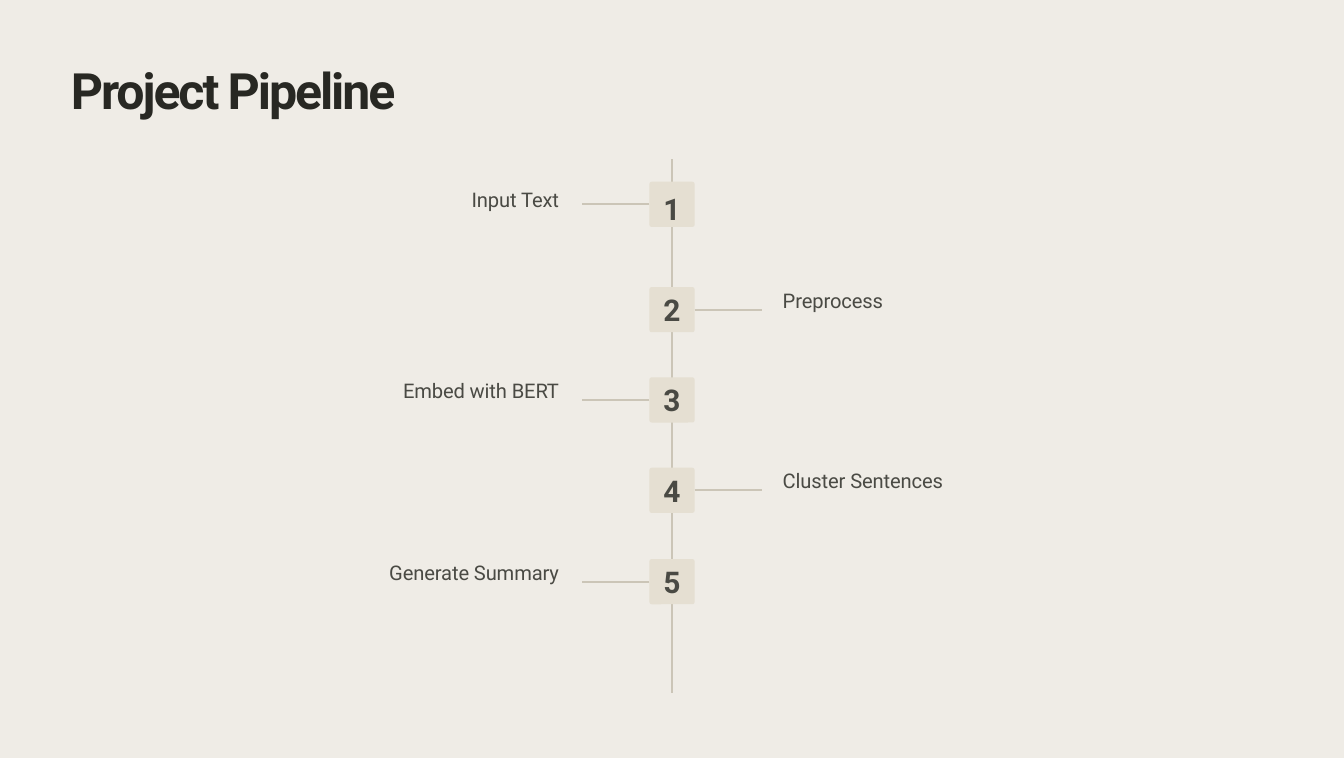
from pptx import Presentation
from pptx.dml.color import RGBColor
from pptx.enum.shapes import MSO_CONNECTOR, MSO_SHAPE
from pptx.enum.text import MSO_ANCHOR, PP_ALIGN
from pptx.oxml.ns import qn
from pptx.util import Inches, Pt
from lxml import etree

ROUNDED = MSO_SHAPE.ROUNDED_RECTANGLE
STRAIGHT = MSO_CONNECTOR.STRAIGHT
TOP, MIDDLE = MSO_ANCHOR.TOP, MSO_ANCHOR.MIDDLE
LEFT, CENTER, RIGHT = PP_ALIGN.LEFT, PP_ALIGN.CENTER, PP_ALIGN.RIGHT

PAPER = RGBColor(0xEF, 0xEC, 0xE6)
TITLE_INK = RGBColor(0x28, 0x28, 0x23)
INK = RGBColor(0x4A, 0x4A, 0x44)
LINE = RGBColor(0xCB, 0xC5, 0xB7)
TILE = RGBColor(0xE5, 0xDF, 0xD2)

SPINE_X = 6.25
TILE_SIZE = 0.42
BRANCH_REACH = 0.84
LABEL_REACH = 1.02
LABEL_WIDTH = 2
LABEL_HEIGHT = 0.25
FIRST_DROP = 0.04
LEFT_SITE, RIGHT_SITE = 1, 3

STEPS = [
    ("Input Text", 1.69),
    ("Preprocess", 2.67),
    ("Embed with BERT", 3.51),
    ("Cluster Sentences", 4.35),
    ("Generate Summary", 5.2),
]


def write_text(box, text, size, color=INK, bold=False, spacing=0,
               align=LEFT, anchor=TOP, margins=(0, 0, 0, 0)):
    frame = box.text_frame
    frame.word_wrap = True
    frame.vertical_anchor = anchor
    (frame.margin_left, frame.margin_top,
     frame.margin_right, frame.margin_bottom) = map(Inches, margins)
    para = frame.paragraphs[0]
    para.alignment = align
    span = para.add_run()
    span.text = text
    span.font.name = "Roboto"
    span.font.size = Pt(size)
    span.font.bold = bold
    span.font.color.rgb = color
    span.font._element.set("spc", str(round(spacing * 100)))


def add_text(page, left, top, width, height, text, **style):
    box = page.shapes.add_textbox(
        Inches(left), Inches(top), Inches(width), Inches(height))
    write_text(box, text, **style)


def add_line(page, x1, y1, x2, y2):
    line = page.shapes.add_connector(
        STRAIGHT, Inches(x1), Inches(y1), Inches(x2), Inches(y2))
    line.line.color.rgb = LINE
    line.line.width = Pt(1.5)
    etree.SubElement(line._element.spPr, qn("a:effectLst"))
    return line


def add_tile(page, top, number, drop):
    tile = page.shapes.add_shape(
        ROUNDED, Inches(SPINE_X - TILE_SIZE / 2), Inches(top),
        Inches(TILE_SIZE), Inches(TILE_SIZE))
    tile.shadow.inherit = False
    tile.adjustments[0] = 0.05
    tile.fill.solid()
    tile.fill.fore_color.rgb = TILE
    tile.line.fill.background()
    write_text(tile, str(number), size=20, bold=True, spacing=-0.5,
               align=CENTER, anchor=MIDDLE, margins=(0, 2 * drop, 0, 0))
    return tile


def add_step(page, number, label, top):
    on_left = number % 2 == 1
    side = -1 if on_left else 1
    drop = FIRST_DROP if number == 1 else 0
    middle = top + TILE_SIZE / 2
    tile = add_tile(page, top, number, drop)
    branch = add_line(page, SPINE_X + side * TILE_SIZE / 2, middle,
                      SPINE_X + side * BRANCH_REACH, middle)
    branch.begin_connect(tile, LEFT_SITE if on_left else RIGHT_SITE)
    reach = -LABEL_REACH - LABEL_WIDTH if on_left else LABEL_REACH
    add_text(page, SPINE_X + reach, top + drop - 0.01, LABEL_WIDTH,
             LABEL_HEIGHT, label, size=13.5, spacing=-0.05,
             align=RIGHT if on_left else LEFT, margins=(0.01, 0.02, 0.03, 0))


def main():
    deck = Presentation()
    deck.slide_width, deck.slide_height = Inches(12.5), Inches(7.05)
    page = deck.slides.add_slide(deck.slide_layouts[6])
    page.background.fill.solid()
    page.background.fill.fore_color.rgb = PAPER
    add_text(page, 0.64, 0.54, 3.6, 0.59, "Project Pipeline", size=33.5,
             color=TITLE_INK, bold=True, spacing=-1.4,
             margins=(0.02, 0.01, 0, 0))
    add_line(page, SPINE_X, 1.48, SPINE_X, 6.45)
    for number, (label, top) in enumerate(STEPS, 1):
        add_step(page, number, label, top)
    deck.save("out.pptx")


if __name__ == "__main__":
    main()
